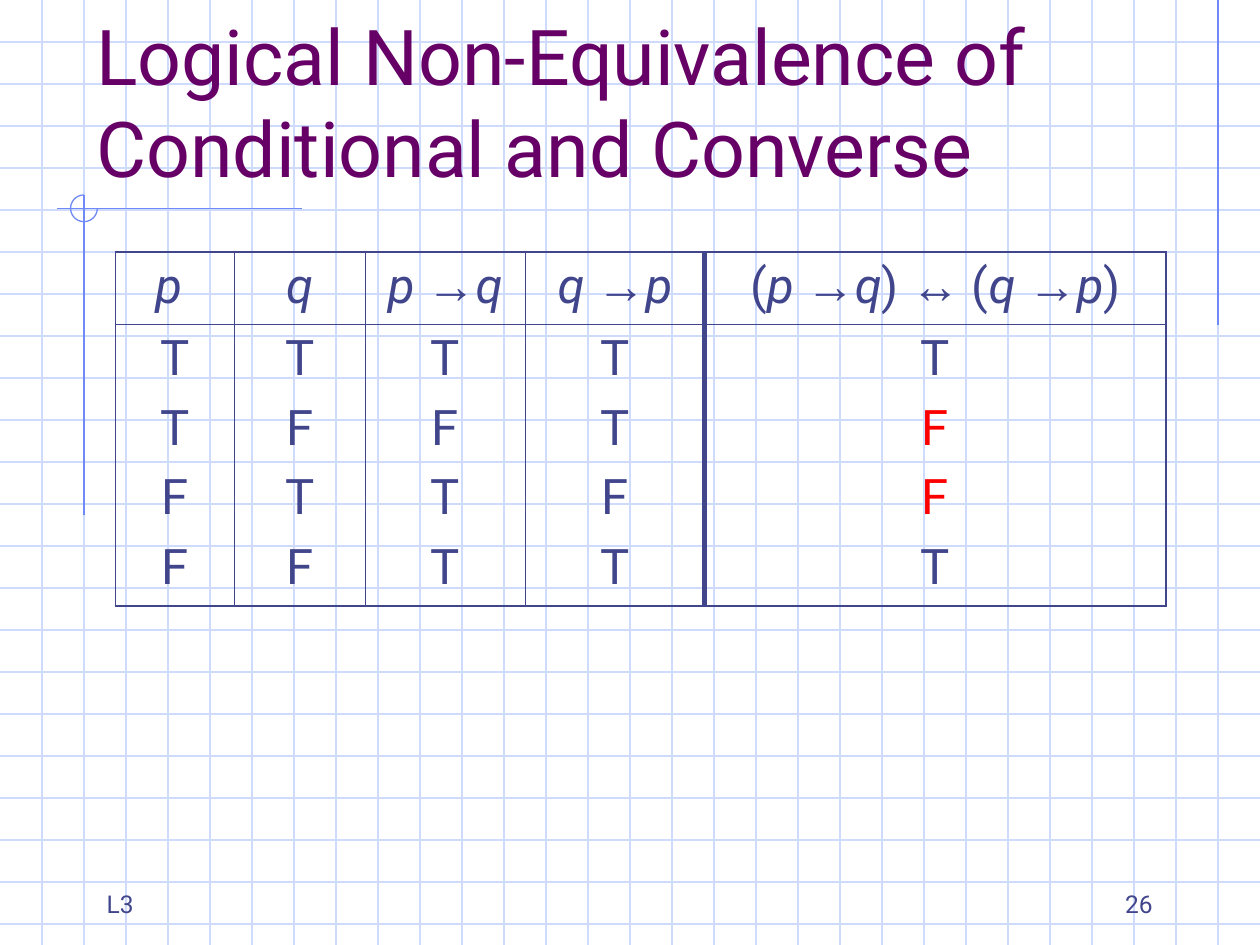
from dataclasses import dataclass
from itertools import groupby

from lxml import etree
from pptx import Presentation
from pptx import oxml as ox
from pptx import util as u
from pptx.dml.color import RGBColor as Rgb
from pptx.enum import shapes as es
from pptx.enum import text as et

Cm, Pt = u.Cm, u.Pt


@dataclass(frozen=True)
class Theme:
    face: str = "Roboto"
    sign: str = "Arial"
    grid: str = "CFDBFD"
    trim: str = "6F89F7"
    head: str = "660066"
    ink: str = "40458C"
    alert: str = "FC0000"
    big: int = 44
    body: int = 28
    small: int = 14
    hair: float = 0.75
    thin: float = 0.45
    edge: float = 1.08
    bold: float = 3


T = Theme()
WIDE, HIGH = 25.4, 19.05
STEP = WIDE / 30
HEADS = ["p ", "q", "p →q", "q →p", "(p →q) ↔ (q →p)"]
COLS = ["TTFF", "TFTF", "TFTT", "TTFT", "TFFT"]
WIDTHS = [2.39, 2.64, 3.23, 3.61, 9.31]
ROWS = [1.45, 5.69]


def add_run(para, words, size, color, face=T.face, slant=False):
    run = para.add_run()
    run.text = words
    font = run.font
    font.name, font.size, font.italic = face, Pt(size), slant
    font.color.rgb = Rgb.from_string(color)


def add_line(group, x1, y1, x2, y2, color):
    line = group.shapes.add_connector(
        es.MSO_CONNECTOR.STRAIGHT, Cm(x1), Cm(y1), Cm(x2), Cm(y2))
    line.line.color.rgb = Rgb.from_string(color)
    line.line.width = Pt(T.hair)
    etree.SubElement(line._element.spPr, ox.ns.qn("a:effectLst"))


def draw_grid(slide, wide, high):
    group = slide.shapes.add_group_shape()
    for n in range(1, 23):
        add_line(group, 0, n * STEP, wide, n * STEP, T.grid)
    for n in range(1, 30):
        add_line(group, n * STEP, 0, n * STEP, high, T.grid)


def draw_trim(slide, x, y):
    group = slide.shapes.add_group_shape()
    add_line(group, 29 * STEP, 0, 29 * STEP, 6.55, T.trim)
    add_line(group, x + 4.4, y, x - 0.55, y, T.trim)
    add_line(group, x, y - 0.27, x, y + 6.18, T.trim)
    arc = group.shapes.add_shape(
        es.MSO_SHAPE.ARC, Cm(x - 0.27), Cm(y - 0.27), Cm(0.54), Cm(0.54))
    arc.adjustments[0] = 0
    arc.adjustments[1] = 162
    arc.shadow.inherit = False
    arc.fill.background()
    arc.line.color.rgb = Rgb.from_string(T.trim)
    arc.line.width = Pt(T.hair)


def set_title(slide, words, x, y, w, h):
    title = slide.shapes.title
    slide.shapes._spTree.append(title._element)
    title.left, title.top, title.width, title.height = map(Cm, (x, y, w, h))
    frame = title.text_frame
    frame.word_wrap = True
    frame.auto_size = et.MSO_AUTO_SIZE.NONE
    frame.vertical_anchor = et.MSO_ANCHOR.BOTTOM
    para = frame.paragraphs[0]
    para.alignment = et.PP_ALIGN.LEFT
    add_run(para, words, T.big, T.head)


def set_edges(cell, **sizes):
    props = cell._tc.get_or_add_tcPr()
    for n, side in enumerate("LRTB"):
        props.insert(n, ox.parse_xml(
            f'<a:ln{side} {ox.ns.nsdecls("a")} w="{Pt(sizes[side])}">'
            f'<a:solidFill><a:srgbClr val="{T.ink}"/></a:solidFill>'
            f'</a:ln{side}>'))


def kind(mark):
    return "sign" if mark in "→↔" else "name" if mark in "pq" else "plain"


def fill_head(cell, words):
    para = cell.text_frame.paragraphs[0]
    para.alignment = et.PP_ALIGN.CENTER
    for sort, marks in groupby(words, kind):
        face = T.sign if sort == "sign" else T.face
        add_run(para, "".join(marks), T.body, T.ink, face, sort == "name")


def fill_truth(cell, marks, last):
    frame = cell.text_frame
    for n, mark in enumerate(marks):
        para = frame.add_paragraph() if n else frame.paragraphs[0]
        para.alignment = et.PP_ALIGN.CENTER
        if n:
            para.space_before = Pt(7)
        add_run(para, mark, T.body, T.alert if last and mark == "F" else T.ink)


def draw_table(slide, x, y):
    table = slide.shapes.add_table(
        len(ROWS), len(COLS), Cm(x), Cm(y),
        Cm(sum(WIDTHS)), Cm(sum(ROWS))).table
    table.first_row = table.horz_banding = False
    for row, high in zip(table.rows, ROWS):
        row.height = Cm(high)
    end = len(COLS) - 1
    walls = [T.edge, T.thin, T.thin, T.thin, T.bold, T.edge]
    floors = [T.edge, T.thin, T.edge]
    for c, wide in enumerate(WIDTHS):
        table.columns[c].width = Cm(wide)
        fill_head(table.cell(0, c), HEADS[c])
        fill_truth(table.cell(1, c), COLS[c], c == end)
        for r in range(len(ROWS)):
            cell = table.cell(r, c)
            cell.fill.background()
            set_edges(cell, L=walls[c], R=walls[c + 1],
                      T=floors[r], B=floors[r + 1])


def add_note(slide, words, x, y, w, h, align):
    frame = slide.shapes.add_textbox(Cm(x), Cm(y), Cm(w), Cm(h)).text_frame
    frame.word_wrap = True
    frame.vertical_anchor = et.MSO_ANCHOR.BOTTOM
    para = frame.paragraphs[0]
    para.alignment = align
    add_run(para, words, T.small, T.ink)


def main():
    deck = Presentation()
    deck.slide_width, deck.slide_height = Cm(WIDE), Cm(HIGH)
    slide = deck.slides.add_slide(deck.slide_layouts[5])
    draw_grid(slide, WIDE, HIGH)
    draw_trim(slide, 2 * STEP, 4.2)
    set_title(slide, "Logical Non-Equivalence of Conditional and Converse",
              1.69, 0.85, 21.59, 3.17)
    draw_table(slide, 2.33, 5.08)
    add_note(slide, "26", 18.2, 17.36, 5.29, 1.27, et.PP_ALIGN.RIGHT)
    add_note(slide, "L3", 1.9, 17.36, 5.29, 1.27, et.PP_ALIGN.LEFT)
    deck.save("out.pptx")


if __name__ == "__main__":
    main()
